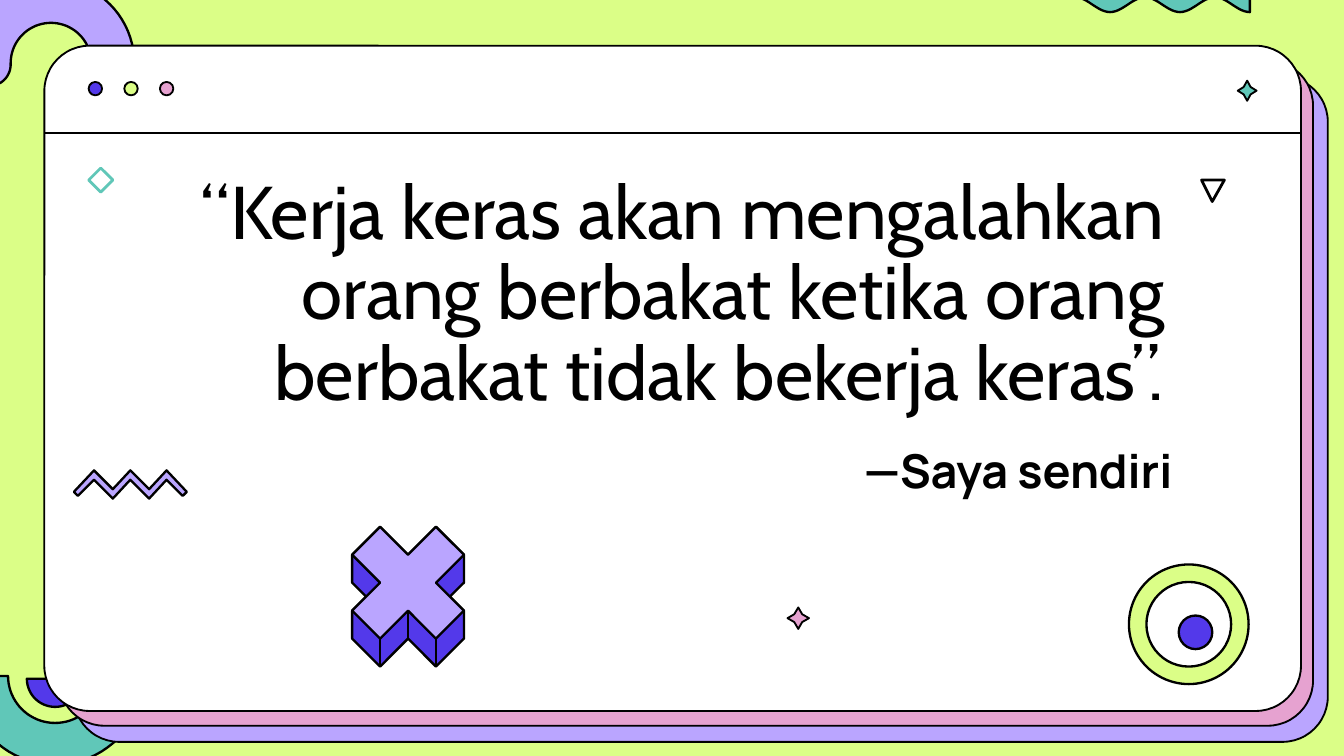
import math

import pptx
import pptx.dml.color
import pptx.enum.shapes
import pptx.enum.text
import pptx.util
from lxml import etree

Inches = pptx.util.Inches
Pt = pptx.util.Pt
Shapes = pptx.enum.shapes.MSO_SHAPE

LIME, LILAC, INDIGO = "DBFE87", "BAA5FF", "5339EA"
PINK, TEAL, BLACK, WHITE = "E6A2D0", "60C7B8", "000000", "FFFFFF"


def rgb(value):
    return pptx.dml.color.RGBColor.from_string(value)


def arc(cx, cy, radius, start, end, steps=40):
    angles = [math.radians(start + (end - start) * i / steps) for i in range(steps + 1)]
    return [(cx + radius * math.cos(a), cy + radius * math.sin(a)) for a in angles]


class Canvas:
    """Holds the drawing style and the slide being built."""

    def __init__(self, slide, outline=BLACK, weight=1.25):
        self.slide = slide
        self.outline = outline
        self.weight = weight

    def background(self, color):
        fill = self.slide.background.fill
        fill.solid()
        fill.fore_color.rgb = rgb(color)

    def paint(self, shape, fill, line=None, weight=None):
        shape.shadow.inherit = False
        if fill:
            shape.fill.solid()
            shape.fill.fore_color.rgb = rgb(fill)
        else:
            shape.fill.background()
        shape.line.color.rgb = rgb(line or self.outline)
        shape.line.width = Pt(weight or self.weight)
        return shape

    def preset(self, kind, left, top, width, height, fill, adjust=None, **style):
        shape = self.slide.shapes.add_shape(
            kind, Inches(left), Inches(top), Inches(width), Inches(height))
        if adjust is not None:
            shape.adjustments[0] = adjust
        return self.paint(shape, fill, **style)

    def outline_shape(self, points, fill, **style):
        corners = [(Inches(x), Inches(y)) for x, y in points]
        builder = self.slide.shapes.build_freeform(*corners[0], scale=1.0)
        builder.add_line_segments(corners[1:], close=True)
        return self.paint(builder.convert_to_shape(), fill, **style)

    def line(self, x1, y1, x2, y2, weight=None):
        connector = self.slide.shapes.add_connector(
            pptx.enum.shapes.MSO_CONNECTOR.STRAIGHT,
            Inches(x1), Inches(y1), Inches(x2), Inches(y2))
        connector.line.color.rgb = rgb(self.outline)
        connector.line.width = Pt(weight or self.weight)
        namespace = "http://schemas.openxmlformats.org/drawingml/2006/main"
        etree.SubElement(connector._element.spPr, "{%s}effectLst" % namespace)

    def text(self, words, left, top, width, height, font, size, anchor, bold=False):
        box = self.slide.shapes.add_textbox(
            Inches(left), Inches(top), Inches(width), Inches(height))
        frame = box.text_frame
        frame.word_wrap = True
        frame.vertical_anchor = anchor
        frame.text = words
        paragraph = frame.paragraphs[0]
        paragraph.alignment = pptx.enum.text.PP_ALIGN.RIGHT
        paragraph.line_spacing = 0.9
        style = paragraph.runs[0].font
        style.name, style.size, style.bold = font, Pt(size), bold
        style.color.rgb = rgb(BLACK)

    def zigzag(self, left, top):
        upper = [(0.03, 0.19), (0, 0.16), (0.15, 0), (0.29, 0.14), (0.42, 0),
                 (0.56, 0.14), (0.69, 0), (0.84, 0.16), (0.81, 0.19)]
        lower = [(0.69, 0.07), (0.56, 0.21), (0.42, 0.07), (0.29, 0.21), (0.15, 0.07)]
        self.outline_shape([(left + x, top + y) for x, y in upper + lower], LILAC)

    def block_cross(self, left, top, unit):
        def place(points):
            return [(left + x * unit, top + y * unit) for x, y in points]

        sides = [(4, 1), (4, 2), (3.5, 2.5), (4, 3), (4, 4), (3, 5), (2, 4), (1, 5),
                 (0, 4), (0, 3), (0.5, 2.5), (0, 2), (0, 1), (1, 0), (2, 1), (3, 0)]
        face = [(3, 0), (4, 1), (3, 2), (4, 3), (3, 4), (2, 3),
                (1, 4), (0, 3), (1, 2), (0, 1), (1, 0), (2, 1)]
        self.outline_shape(place(sides), INDIGO)
        self.outline_shape(place(face), LILAC)
        for x, y in [(1, 4), (2, 3), (3, 4)]:
            (x1, y1), (x2, y2) = place([(x, y), (x, y + 1)])
            self.line(x1, y1, x2, y2)


def main():
    deck = pptx.Presentation()
    deck.slide_width = Inches(10)
    deck.slide_height = deck.slide_width * 9 // 16
    canvas = Canvas(deck.slides.add_slide(deck.slide_layouts[6]))
    canvas.background(LIME)

    arch = (arc(0.38, 0.47, 0.62, 180, 360) + arc(0.84, 0.47, 0.16, 0, 180)
            + arc(0.38, 0.47, 0.3, 360, 180) + arc(-0.08, 0.48, 0.16, 0, 180))
    canvas.outline_shape(arch, LILAC)
    bowl = arc(0.41, 5.03, 0.66, 180, 0) + arc(0.41, 5.03, 0.35, 0, 180)
    canvas.outline_shape(bowl, TEAL)
    canvas.outline_shape(arc(0.41, 5.05, 0.21, 0, 180), INDIGO)
    canvas.zigzag(9.03, 3.4)

    for left, top, width, color in [(0.55, 0.57, 9.33, LILAC), (0.44, 0.45, 9.33, PINK),
                                    (0.33, 0.34, 9.35, WHITE)]:
        canvas.preset(Shapes.ROUNDED_RECTANGLE, left, top, width, 4.95, color, 0.068, weight=1)
    canvas.line(0.33, 0.99, 9.67, 0.99, weight=1)

    canvas.preset(Shapes.DONUT, 8.4, 4.2, 0.89, 0.89, LIME, 0.146)
    canvas.preset(Shapes.OVAL, 8.77, 4.58, 0.25, 0.25, INDIGO)

    canvas.text("—Saya sendiri", 1.14, 3.29, 7.68, 0.46, "Manrope", 25,
                pptx.enum.text.MSO_ANCHOR.MIDDLE, bold=True)
    canvas.text("“Kerja keras akan mengalahkan orang berbakat ketika orang "
                "berbakat tidak bekerja keras”.", 1.09, 1.25, 7.67, 1.61, "Cabin", 40,
                pptx.enum.text.MSO_ANCHOR.TOP)

    canvas.preset(Shapes.STAR_4_POINT, 5.86, 4.52, 0.16, 0.16, PINK, 0.26, weight=1)
    canvas.preset(Shapes.STAR_4_POINT, 9.21, 0.6, 0.14, 0.15, TEAL, 0.26, weight=1)
    canvas.zigzag(0.55, 3.5)
    canvas.outline_shape([(8.94, 1.34), (9.11, 1.34), (9.02, 1.5)], None, weight=1.5)
    canvas.preset(Shapes.DIAMOND, 0.66, 1.25, 0.18, 0.18, None, line=TEAL, weight=1.5)
    canvas.block_cross(2.62, 3.92, 0.208)

    for index, color in enumerate([INDIGO, LIME, PINK]):
        canvas.preset(Shapes.OVAL, 0.66 + index * 0.265, 0.61, 0.1, 0.1, color, weight=1)

    crests = [8 + 0.02 * i for i in range(66)]
    swell = [0.055 * math.cos(2 * math.pi * (x - 8) / 0.52) for x in crests]
    lower = [(x, 0.035 - s) for x, s in zip(crests, swell)]
    upper = [(x, -0.075 - s) for x, s in zip(crests, swell)]
    canvas.outline_shape(lower + upper[::-1], TEAL)

    deck.save("out.pptx")


if __name__ == "__main__":
    main()
